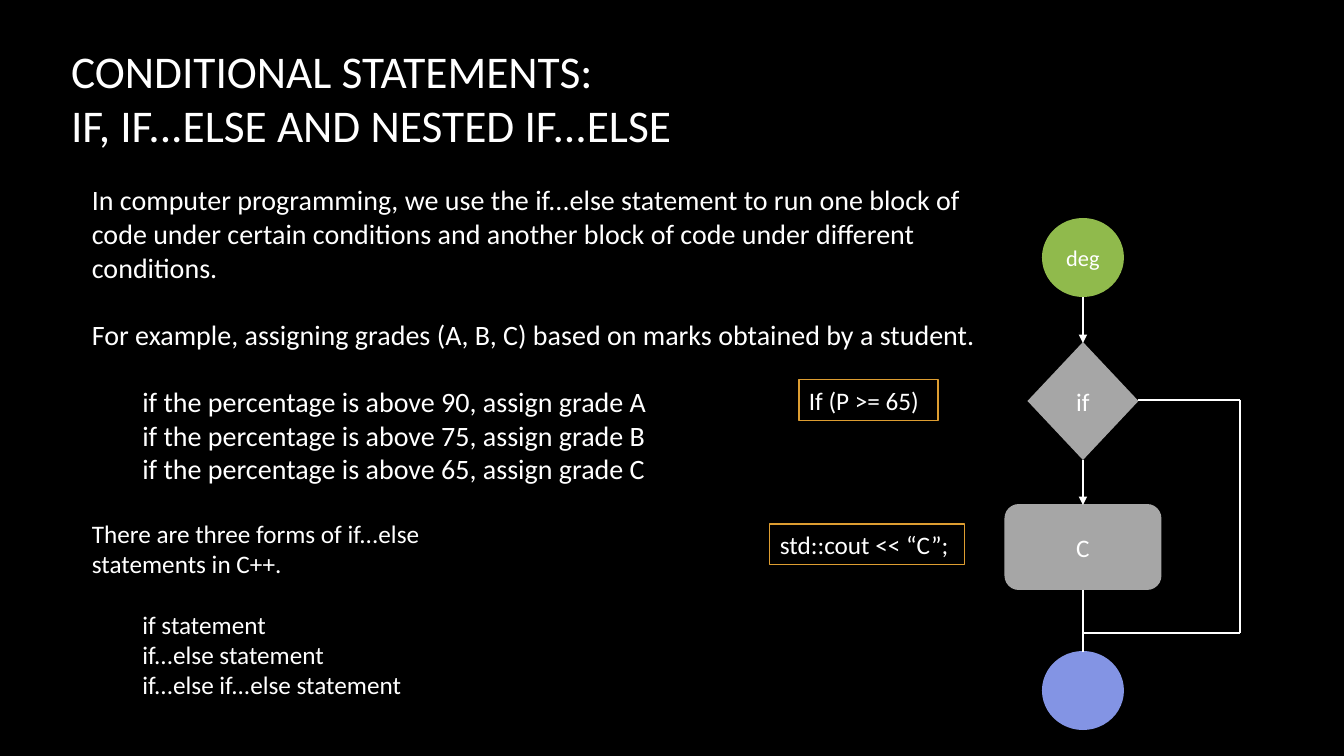
from lxml import etree
from pptx import Presentation
from pptx.dml.color import RGBColor
from pptx.enum.shapes import MSO_CONNECTOR, MSO_SHAPE
from pptx.enum.text import MSO_ANCHOR, MSO_AUTO_SIZE, PP_ALIGN
from pptx.oxml.ns import qn
from pptx.util import Emu, Pt

ROUND, RHOMB = MSO_SHAPE.FLOWCHART_CONNECTOR, MSO_SHAPE.DIAMOND
BLOCK, RECT = MSO_SHAPE.ROUNDED_RECTANGLE, MSO_SHAPE.RECTANGLE
LINE = MSO_CONNECTOR.STRAIGHT
LEFT, MID = PP_ALIGN.LEFT, PP_ALIGN.CENTER
TOP, CORE = MSO_ANCHOR.TOP, MSO_ANCHOR.MIDDLE
FIXED = MSO_AUTO_SIZE.NONE
FONT = "Calibri"
WHITE, BLACK, GREY = "FFFFFF", "000000", "A6A6A6"
GREEN, BLUE, GOLD = "90BA4C", "8394E4", "DD9D31"


def px(n):
    return Emu(round(n * 914400 / 100.8))


def paint(target, color):
    target.solid()
    target.fore_color.rgb = RGBColor.from_string(color)


def style(para, size, align=LEFT):
    para.alignment = align
    para.font.name = FONT
    para.font.size = Pt(size)
    paint(para.font.fill, WHITE)


def add_title(slide, box, text):
    title = slide.shapes.title
    title.left, title.top, title.width, title.height = map(px, box)
    frame = title.text_frame
    frame.auto_size = FIXED
    frame.vertical_anchor = CORE
    frame.text = text
    style(frame.paragraphs[0], 32.4)


def add_prose(slide, box, size, gap, intro, items):
    frame = slide.shapes.add_textbox(*map(px, box)).text_frame
    frame.word_wrap = True
    rows = [(text, 0) for text in intro] + [(text, 1) for text in items]
    for i, (text, level) in enumerate(rows):
        para = frame.paragraphs[0] if i == 0 else frame.add_paragraph()
        para.text = text
        para.level = level
        style(para, size)
        if 0 < i <= len(intro):
            para.space_before = Pt(gap)
        if level:
            props = para._p.get_or_add_pPr()
            props.set("marL", "457200")
            props.set("indent", "0")


def add_node(slide, kind, box, fill, text="", size=18):
    node = slide.shapes.add_shape(kind, *map(px, box))
    node.shadow.inherit = False
    paint(node.fill, fill)
    node.line.fill.background()
    if text:
        node.text_frame.text = text
        style(node.text_frame.paragraphs[0], size, MID)


def add_code(slide, box, text):
    code = slide.shapes.add_shape(RECT, *map(px, box))
    code.shadow.inherit = False
    code.fill.background()
    paint(code.line.fill, GOLD)
    code.line.width = Pt(0.75)
    frame = code.text_frame
    frame.word_wrap = False
    frame.vertical_anchor = TOP
    frame.text = text
    style(frame.paragraphs[0], 18)


def add_link(slide, start, end, arrow=False):
    link = slide.shapes.add_connector(LINE, *map(px, start + end))
    paint(link.line.fill, WHITE)
    link.line.width = Pt(2)
    if arrow:
        tail = etree.SubElement(link.line._get_or_add_ln(), qn("a:tailEnd"))
        tail.set("type", "triangle")
    etree.SubElement(link._element.spPr, qn("a:effectLst"))


def add_flow(slide, box):
    left, top, width, height = box
    mid, right = left + 79, left + width
    nodes = [
        (ROUND, 0, 82, 79, GREEN, "deg", 16),
        (RHOMB, 124, 111, 118, GREY, "if", 18),
        (BLOCK, 286, 157, 86, GREY, "C", 18),
        (ROUND, height - 79, 82, 79, BLUE, "", 18),
    ]
    for kind, y, w, h, fill, text, size in nodes:
        add_node(slide, kind, (mid - w / 2, top + y, w, h), fill, text, size)
    for (_, y, _, h, *_), below in zip(nodes, nodes[1:]):
        add_link(slide, (mid, top + y + h), (mid, top + below[1] + 1),
                 below is not nodes[-1])
    turn, join = top + 182, top + 415
    bends = [(mid + 55, turn), (right, turn), (right, join), (mid, join)]
    for start, end in zip(bends, bends[1:]):
        add_link(slide, start, end)


def main():
    deck = Presentation()
    deck.slide_width, deck.slide_height = px(1344), px(756)
    slide = deck.slides.add_slide(deck.slide_layouts.get_by_name("Title Only"))
    paint(slide.background.fill, BLACK)
    add_title(slide, (61, 49, 877, 97),
              "CONDITIONAL STATEMENTS:\vIF, IF...ELSE AND NESTED IF...ELSE")
    add_prose(slide, (82, 178, 946, 315), 20, 24, [
        "In computer programming, we use the if...else statement to run one "
        "block of code under certain conditions and another block of code "
        "under different conditions.",
        "For example, assigning grades (A, B, C) based on marks obtained by "
        "a student.",
    ], [f"if the percentage is above {mark}, assign grade {grade}"
        for mark, grade in ((90, "A"), (75, "B"), (65, "C"))])
    add_flow(slide, (1004, 218, 236, 512))
    add_code(slide, (799, 380, 139, 41), "If (P >= 65)")
    add_code(slide, (770, 524, 195, 41), "std::cout << “C”;")
    add_prose(slide, (82, 513, 428, 194), 18, 22,
              ["There are three forms of if...else statements in C++."],
              ["if statement", "if...else statement",
               "if...else if...else statement"])
    deck.save("out.pptx")


if __name__ == "__main__":
    main()
